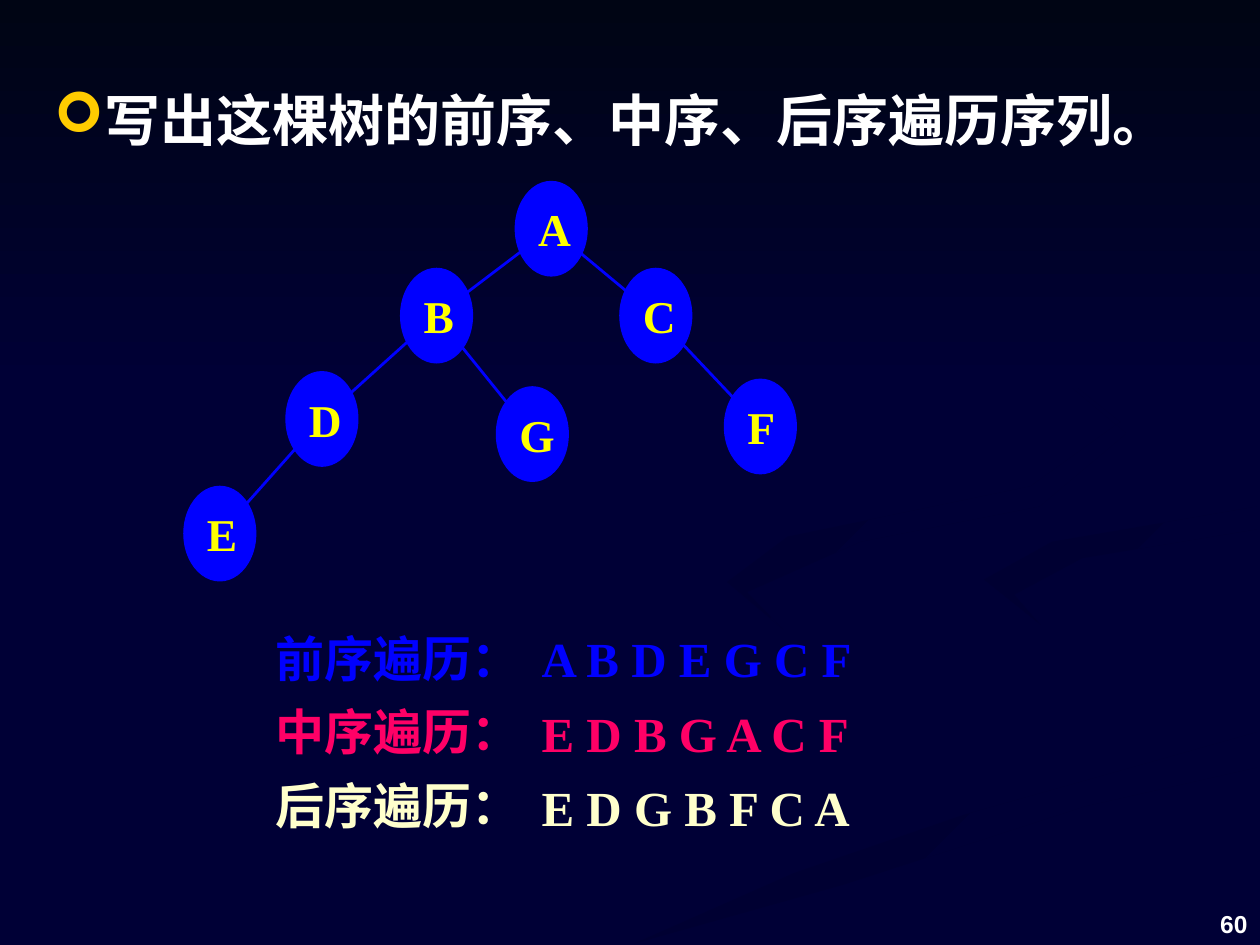
from lxml import etree
from pptx import Presentation
from pptx.dml.color import RGBColor
from pptx.enum.shapes import MSO_CONNECTOR, MSO_SHAPE
from pptx.enum.text import MSO_ANCHOR, MSO_AUTO_SIZE, PP_ALIGN
from pptx.oxml.ns import qn
from pptx.util import Inches, Pt

STRAIGHT = MSO_CONNECTOR.STRAIGHT
ELLIPSE, RECTANGLE = MSO_SHAPE.OVAL, MSO_SHAPE.RECTANGLE
TOP, MIDDLE, BOTTOM = MSO_ANCHOR.TOP, MSO_ANCHOR.MIDDLE, MSO_ANCHOR.BOTTOM
NO_AUTOFIT = MSO_AUTO_SIZE.NONE
LEFT, CENTER, RIGHT = PP_ALIGN.LEFT, PP_ALIGN.CENTER, PP_ALIGN.RIGHT

COLORS = {
    "navy": "000036", "shade": "000032", "night": "000514",
    "blue": "0000FF", "yellow": "FFFF00", "white": "FFFFFF",
    "gold": "FFCC00", "pink": "FF0066", "cream": "FFFFCC",
}


def color(name):
    return RGBColor.from_string(COLORS[name])


def write(shape, text, size, color_name, alignment=LEFT, anchor=MIDDLE, font_name="Times New Roman"):
    """Put one bold run into the shape's first paragraph and return the paragraph."""
    frame = shape.text_frame
    frame.vertical_anchor = anchor
    frame.auto_size = NO_AUTOFIT
    frame.word_wrap = True
    paragraph = frame.paragraphs[0]
    paragraph.alignment = alignment
    paragraph.space_before = Pt(0)
    run = paragraph.add_run()
    run.text = text
    run.font.name = font_name
    run.font.size = Pt(size)
    run.font.bold = True
    run.font.color.rgb = color(color_name)
    return paragraph


presentation = Presentation()
presentation.slide_width = Inches(10)
presentation.slide_height = Inches(7.5)
slide = presentation.slides.add_slide(presentation.slide_layouts[1])
shapes = slide.shapes
slide.background.fill.solid()
slide.background.fill.fore_color.rgb = color("navy")

# Background: dark ribbons below, a band fading to navy above
ribbons = [
    [(5.03, 7.49), (6.7, 7.02), (8.61, 6.4), (9.98, 6.09), (9.98, 5.81), (7.64, 6.47), (6.3, 6.93)],
    [(7.81, 4.6), (8.26, 4.96), (8.05, 4.72), (8.59, 4.43), (9.98, 4.2), (9.98, 4.02), (8.35, 4.3)],
    [(6.83, 4.3), (8.25, 4.02), (8.94, 3.44), (7.62, 2.33), (8.89, 3.35), (8.18, 3.86),
     (6.25, 4.26), (5.77, 4.62), (6.22, 5), (5.93, 4.7)],
]
backdrops = []
for outline in ribbons:
    points = [(Inches(x), Inches(y)) for x, y in outline]
    builder = shapes.build_freeform(*points[0])
    builder.add_line_segments(points[1:], close=True)
    backdrops.append((builder.convert_to_shape(), "shade", 315))
band = shapes.add_shape(RECTANGLE, 0, 0, Inches(10), Inches(3.08))
backdrops.append((band, "night", 270))
for backdrop, first_color, angle in backdrops:
    backdrop.shadow.inherit = False
    backdrop.line.fill.background()
    backdrop.fill.gradient()
    backdrop.fill.gradient_angle = angle
    for stop, name in zip(backdrop.fill.gradient_stops, (first_color, "navy")):
        stop.color.rgb = color(name)

page_number = shapes.add_textbox(Inches(7.67), Inches(6.98), Inches(2.33), Inches(0.52))
write(page_number, "60", 14, "white", RIGHT, BOTTOM, "Arial")

# Question, raised above the background
title, question = slide.placeholders
shapes.element.remove(title.element)
shapes.element.append(question.element)
question.left, question.top = Inches(0.33), Inches(0.63)
question.width, question.height = Inches(9.22), Inches(6.35)
paragraph = write(question, "写出这棵树的前序、中序、后序遍历序列。", 32, "white", anchor=TOP)
properties = paragraph._p.get_or_add_pPr()
properties.set("marL", str(Inches(0.38)))
properties.set("indent", str(Inches(-0.38)))
bullet_color = etree.SubElement(properties, qn("a:buClr"))
etree.SubElement(bullet_color, qn("a:srgbClr"), val=COLORS["gold"])
etree.SubElement(properties, qn("a:buFont"), typeface="Wingdings")
etree.SubElement(properties, qn("a:buChar"), char="➢")

# Binary tree
node_width, node_height = Inches(0.57), Inches(0.75)
nodes = {
    "B": (3.18, 2.13), "A": (4.09, 1.44), "C": (4.92, 2.13), "E": (1.46, 3.86),
    "D": (2.27, 2.95), "F": (5.75, 3.01), "G": (3.94, 3.07),
}
centers = {}
for letter, (left, top) in nodes.items():
    node = shapes.add_shape(ELLIPSE, Inches(left), Inches(top), node_width, node_height)
    node.shadow.inherit = False
    node.fill.solid()
    node.fill.fore_color.rgb = color("blue")
    node.line.color.rgb = color("blue")
    node.line.width = Pt(0.75)
    write(node, letter, 26, "yellow", CENTER)
    centers[letter] = (node.left + node_width // 2, node.top + node_height // 2)

# Each branch runs over the middle part of the way from parent to child
for parent, child in ("AB", "BD", "AC", "CF", "DE", "BG"):
    (x1, y1), (x2, y2) = centers[parent], centers[child]
    ends = [
        round(start + share * (end - start))
        for share in (0.24, 0.77)
        for start, end in ((x1, x2), (y1, y2))
    ]
    branch = shapes.add_connector(STRAIGHT, *ends)
    branch.line.color.rgb = color("blue")
    branch.line.width = Pt(1.6)
    etree.SubElement(branch.element.spPr, qn("a:effectLst"))

# Traversals
traversals = [
    ("前序遍历：", "A B D E G C F", "blue"),
    ("中序遍历：", "E D B G A C F", "pink"),
    ("后序遍历：", "E D G B F C A", "cream"),
]
for row, (label, sequence, name) in enumerate(traversals):
    for text, left, width, pitch in ((label, 2.09, 2.36, 0.58), (sequence, 4.2, 2.72, 0.59)):
        box = shapes.add_textbox(Inches(left), Inches(4.94 + row * pitch), Inches(width), Inches(0.57))
        write(box, text, 28, name)

presentation.save("out.pptx")
